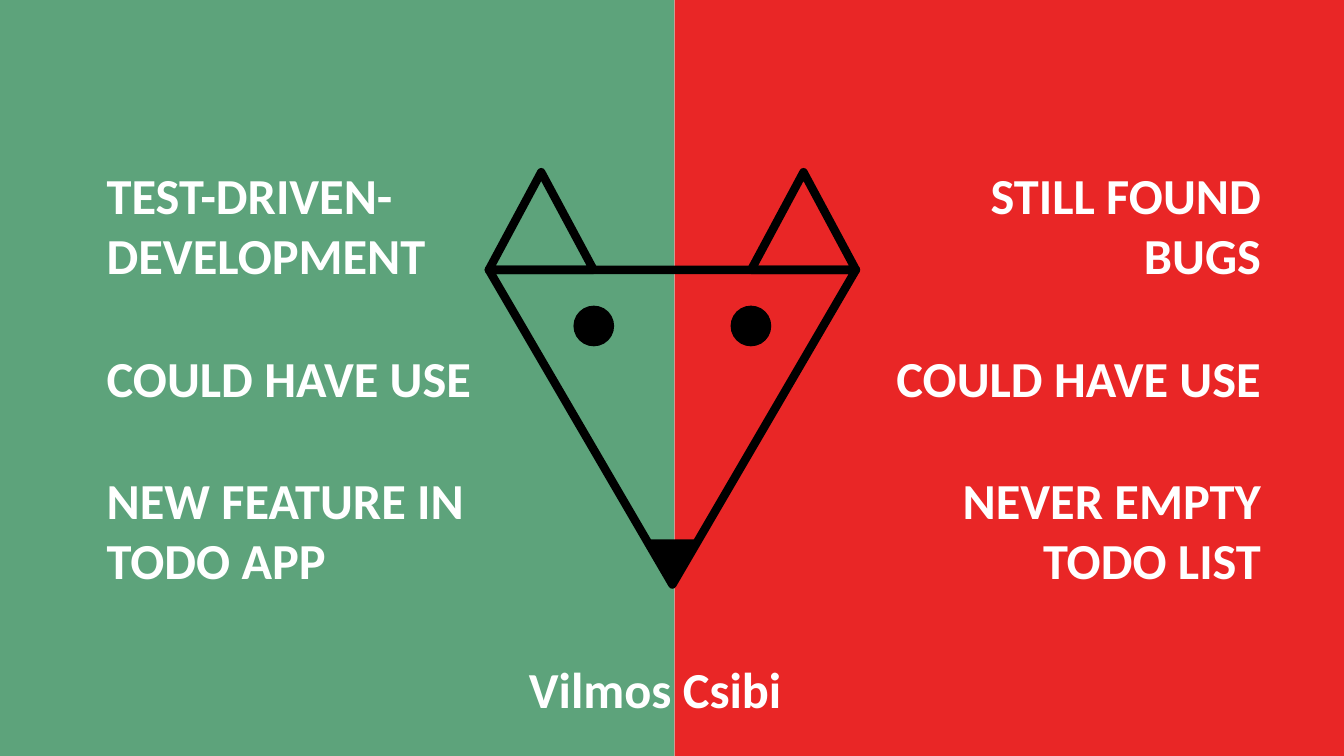
from lxml.etree import SubElement
from pptx import Presentation
from pptx.dml.color import RGBColor
from pptx.enum.shapes import MSO_SHAPE
from pptx.enum.text import MSO_AUTO_SIZE, PP_ALIGN
from pptx.oxml.ns import qn
from pptx.util import Cm, Pt

GREEN = RGBColor(0x41, 0x94, 0x64)
RED = RGBColor(0xE6, 0x00, 0x00)
BLACK = RGBColor(0x00, 0x00, 0x00)
WHITE = RGBColor(0xFF, 0xFF, 0xFF)
FONT = "Calibri"

SLIDE_WIDTH, SLIDE_HEIGHT = 33.87, 19.05
MIDDLE = 17


def add_text(slide, box, lines, size=36, color=WHITE, bold=True,
             align=PP_ALIGN.LEFT, gap=0):
    """Write one paragraph per line, with a gap in points between them."""
    frame = slide.shapes.add_textbox(*map(Cm, box)).text_frame
    frame.word_wrap = True
    frame.auto_size = MSO_AUTO_SIZE.SHAPE_TO_FIT_TEXT
    for index, line in enumerate(lines):
        paragraph = frame.add_paragraph() if index else frame.paragraphs[0]
        paragraph.alignment = align
        paragraph.space_before = Pt(gap if index else 0)
        run = paragraph.add_run()
        run.text = line
        run.font.name = FONT
        run.font.size = Pt(size)
        run.font.bold = bold
        run.font.color.rgb = color


def add_figure(shapes, kind, box, fill=None, line_width=0, rotation=0):
    """Add a preset shape, filled or outlined in black."""
    shape = shapes.add_shape(kind, *map(Cm, box))
    shape.shadow.inherit = False
    shape.rotation = rotation
    if fill is None:
        shape.fill.background()
    else:
        shape.fill.solid()
        shape.fill.fore_color.rgb = fill
    if line_width:
        shape.line.color.rgb = BLACK
        shape.line.width = Pt(line_width)
    else:
        shape.line.fill.background()
    return shape


def add_panel(slide, box, color, opacity=85):
    """Add a translucent background half."""
    panel = add_figure(slide.shapes, MSO_SHAPE.RECTANGLE, box, fill=color)
    color_element = panel._element.spPr.find(qn("a:solidFill"))[0]
    SubElement(color_element, qn("a:alpha")).set("val", str(opacity * 1000))


def add_fox(slide, box):
    """Draw the fox head, mirrored about the centre of its box."""
    left, top, width, height = box
    center = left + width / 2
    ear_width, ear_height = 2.64, 2.46
    eye_size, eye_offset, eye_drop = 0.99, 1.98, 3.38
    nose_width, nose_height = 1.32, 1.12
    shapes = slide.shapes.add_group_shape().shapes
    triangle = MSO_SHAPE.ISOSCELES_TRIANGLE

    # Face
    add_figure(shapes, triangle,
               (left, top + ear_height, width, height - ear_height),
               line_width=6, rotation=180)
    # Ears
    for ear_left in (left, left + width - ear_width):
        add_figure(shapes, triangle, (ear_left, top, ear_width, ear_height),
                   line_width=6)
    # Eyes
    for side in (-1, 1):
        eye_left = center + side * eye_offset - eye_size / 2
        add_figure(shapes, MSO_SHAPE.OVAL,
                   (eye_left, top + eye_drop, eye_size, eye_size),
                   fill=BLACK, line_width=1)
    # Nose
    add_figure(shapes, triangle,
               (center - nose_width / 2, top + height - nose_height,
                nose_width, nose_height),
               fill=BLACK, line_width=1, rotation=180)


def build_title_slide(slide, box):
    left, top, width, height = box
    # Background halves
    add_panel(slide, (left, top, MIDDLE, height), GREEN)
    add_panel(slide, (left + MIDDLE, top, width - MIDDLE, height), RED)

    # Statements on either side, one empty line apart
    add_text(slide, (left + 2.44, top + 4.01, 10.03, 11.02),
             ["TEST-DRIVEN-DEVELOPMENT", "COULD HAVE USE",
              "NEW FEATURE IN TODO APP"], gap=44)
    add_text(slide, (left + 22.07, top + 4.01, 9.96, 11.02),
             ["STILL FOUND BUGS", "COULD HAVE USE", "NEVER EMPTY TODO LIST"],
             align=PP_ALIGN.RIGHT, gap=44)

    # Speaker and fox
    add_text(slide, (left + 13.08, top + 16.46, 7.7, 1.8), ["Vilmos Csibi"])
    add_fox(slide, (left + 12.32, top + 4.34, 9.25, 10.39))


presentation = Presentation()
presentation.slide_width = Cm(SLIDE_WIDTH)
presentation.slide_height = Cm(SLIDE_HEIGHT)
title_slide = presentation.slides.add_slide(presentation.slide_layouts[6])
build_title_slide(title_slide, (0, 0, SLIDE_WIDTH, SLIDE_HEIGHT))
presentation.save("out.pptx")
